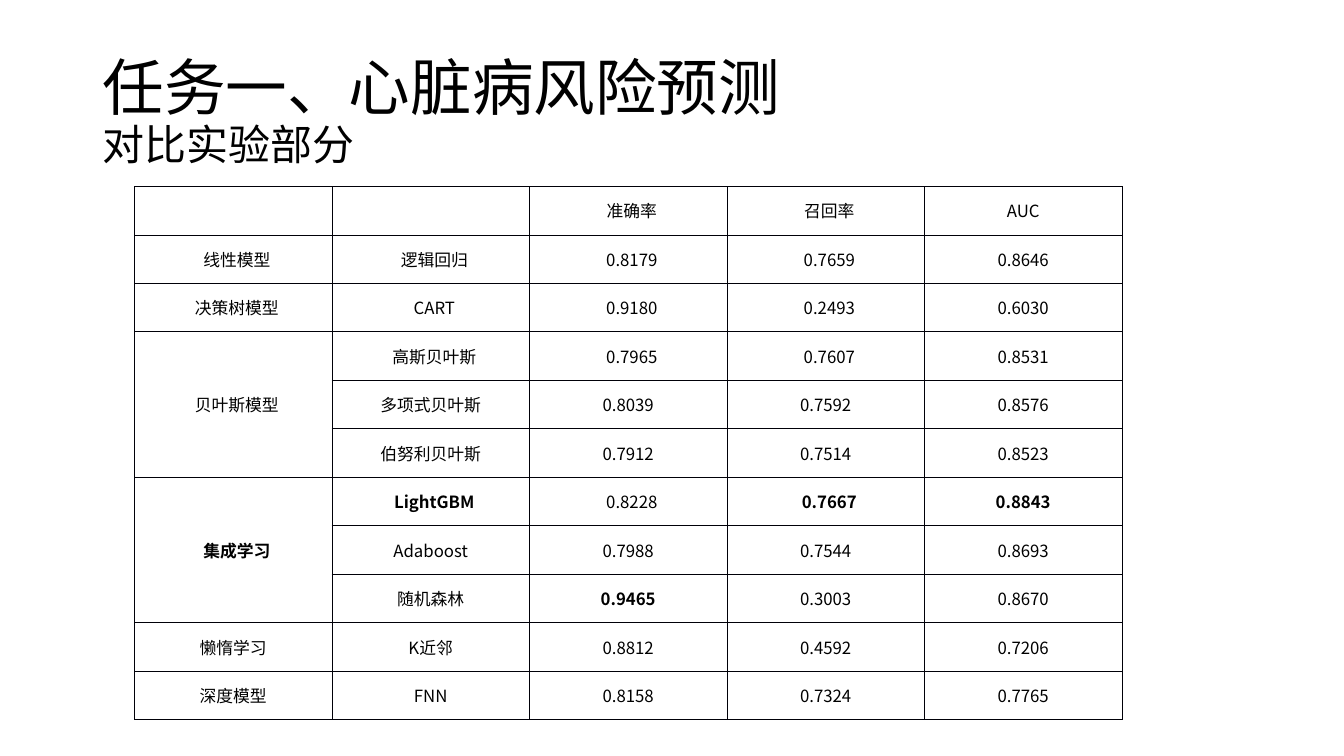
"""Build the slide that compares heart disease risk models."""
from lxml import etree
from pptx import Presentation
from pptx import util as u
from pptx.dml.color import RGBColor
from pptx.enum import text
from pptx.oxml import ns

COLORS = {"text": "000000", "border": "000008"}
CJK_FONT = "Noto Sans CJK SC"
LATIN_FONT = "Times New Roman"
ROWS = [
    ["", "", "准确率", "召回率", "AUC"],
    ["线性模型", "逻辑回归", "0.8179", "0.7659", "0.8646"],
    ["决策树模型", "CART", "0.9180", "0.2493", "0.6030"],
    ["贝叶斯模型", "高斯贝叶斯", "0.7965", "0.7607", "0.8531"],
    ["", "多项式贝叶斯", "0.8039", "0.7592", "0.8576"],
    ["", "伯努利贝叶斯", "0.7912", "0.7514", "0.8523"],
    ["集成学习", "LightGBM", "0.8228", "0.7667", "0.8843"],
    ["", "Adaboost", "0.7988", "0.7544", "0.8693"],
    ["", "随机森林", "0.9465", "0.3003", "0.8670"],
    ["懒惰学习", "K近邻", "0.8812", "0.4592", "0.7206"],
    ["深度模型", "FNN", "0.8158", "0.7324", "0.7765"],
]
BOLD = {"集成学习", "LightGBM", "0.7667", "0.8843", "0.9465"}
GROUP_STARTS = (3, 6)
GROUP_SIZE = 3
INDENTED_ROWS = {0, 1, 2, 3, 6}
INDENTED_COLUMNS = 4
COLUMN_WIDTH = 141.1
ROW_HEIGHT = 34.65


def format_span(span, size, latin, bold=False):
    """Set the size, fonts, weight and colour of a run."""
    span.font.size = u.Pt(size)
    span.font.bold = bold
    span.font.name = latin
    span.font.color.rgb = RGBColor.from_string(COLORS["text"])
    east_asian = etree.SubElement(span.font._element, ns.qn("a:ea"))
    east_asian.set("typeface", CJK_FONT)


def add_title(page, lines, sizes):
    """Fill the title placeholder with one line per size."""
    title = page.shapes.title
    title.left, title.top = u.Pt(66), u.Pt(28.75)
    title.width, title.height = u.Pt(828), u.Pt(104.4)
    frame = title.text_frame
    frame.auto_size = text.MSO_AUTO_SIZE.NONE
    frame.word_wrap = True
    frame.vertical_anchor = text.MSO_ANCHOR.MIDDLE
    para = frame.paragraphs[0]
    para.text = "\v".join(lines)
    para.alignment = text.PP_ALIGN.LEFT
    para.line_spacing = 0.9
    for span, size in zip(para.runs, sizes):
        format_span(span, size, LATIN_FONT)


def add_borders(cell):
    """Draw a thin line on all four sides of a cell."""
    properties = cell._tc.get_or_add_tcPr()
    for side in ("lnL", "lnR", "lnT", "lnB"):
        line = etree.SubElement(properties, ns.qn(f"a:{side}"), w=str(u.Pt(0.5)))
        fill = etree.SubElement(line, ns.qn("a:solidFill"))
        etree.SubElement(fill, ns.qn("a:srgbClr"), val=COLORS["border"])


def fill_cell(cell, value, indented):
    """Format a cell and write its centred value."""
    add_borders(cell)
    cell.fill.background()
    cell.vertical_anchor = text.MSO_ANCHOR.MIDDLE
    cell.margin_left = cell.margin_right = u.Pt(5.4)
    cell.margin_top = cell.margin_bottom = u.Pt(0)
    para = cell.text_frame.paragraphs[0]
    para.text = value
    para.alignment = text.PP_ALIGN.CENTER
    if indented:
        properties = para._p.get_or_add_pPr()
        properties.set("marL", str(u.Pt(5.25)))
        properties.set("indent", "0")
    for span in para.runs:
        format_span(span, 12, CJK_FONT, value in BOLD)


def add_results(page):
    """Add the table of model scores with its merged groups."""
    columns = len(ROWS[0])
    frame = page.shapes.add_table(
        len(ROWS), columns, u.Pt(96), u.Pt(133.1),
        u.Pt(COLUMN_WIDTH * columns), u.Pt(ROW_HEIGHT * len(ROWS)))
    table = frame.table
    table.first_row = table.horz_banding = False
    for column in table.columns:
        column.width = u.Pt(COLUMN_WIDTH)
    for i, values in enumerate(ROWS):
        table.rows[i].height = u.Pt(ROW_HEIGHT)
        for j, value in enumerate(values):
            indented = i in INDENTED_ROWS and j < INDENTED_COLUMNS
            fill_cell(table.cell(i, j), value, indented)
    for start in GROUP_STARTS:
        table.cell(start, 0).merge(table.cell(start + GROUP_SIZE - 1, 0))


def main():
    """Build and save the deck."""
    deck = Presentation()
    deck.slide_width, deck.slide_height = u.Pt(960), u.Pt(540)
    page = deck.slides.add_slide(deck.slide_layouts[5])
    add_title(page, ["任务一、心脏病风险预测", "对比实验部分"], [44, 30])
    add_results(page)
    deck.save("out.pptx")


if __name__ == "__main__":
    main()
